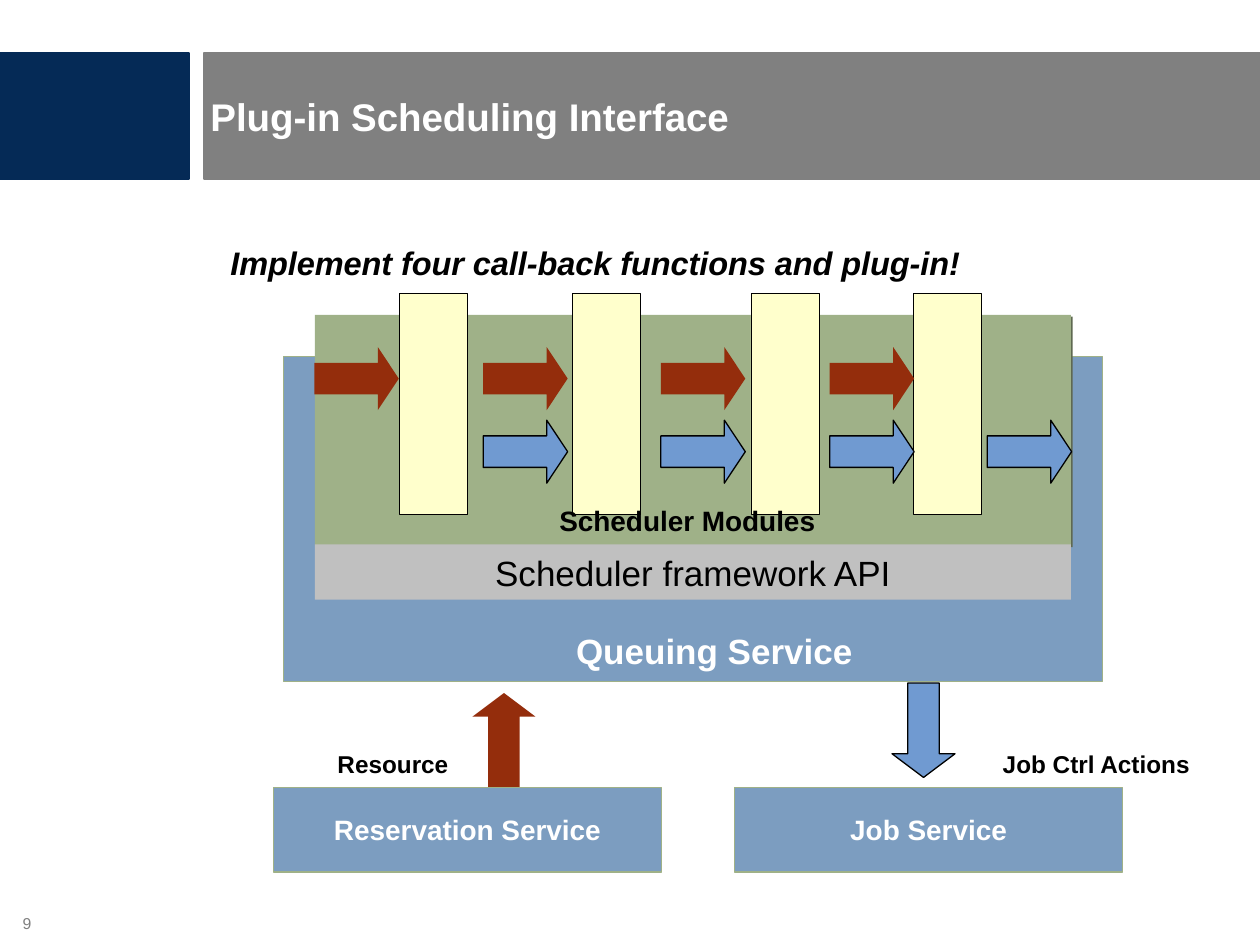
from dataclasses import dataclass
from typing import Optional

from lxml import etree
from pptx import Presentation
from pptx import util as u
from pptx.dml import color
from pptx.enum import shapes, text
from pptx.oxml import ns

RGB = color.RGBColor
NAVY = RGB(0x05, 0x2A, 0x56)
GRAY = RGB(0x80, 0x80, 0x80)
SILVER = RGB(0xC0, 0xC0, 0xC0)
STEEL = RGB(0x7C, 0x9D, 0xC0)
SAGE = RGB(0x9F, 0xB1, 0x88)
CREAM = RGB(0xFF, 0xFF, 0xCC)
RUST = RGB(0x94, 0x2D, 0x0C)
BLUE = RGB(0x70, 0x9A, 0xD1)
WHITE = RGB(0xFF, 0xFF, 0xFF)
BLACK = RGB(0, 0, 0)

KIND = shapes.MSO_SHAPE
LEFT, MID, RIGHT = text.PP_ALIGN.LEFT, text.PP_ALIGN.CENTER, text.PP_ALIGN.RIGHT
TIGHT, SIDE, WIDE = (0, 0), (0.05, 0), (0.1, 0.05)


@dataclass
class Box:
    x: float
    y: float
    w: float
    h: float


@dataclass
class Label:
    words: str
    size: float
    tint: RGB = BLACK
    bold: bool = True
    slant: bool = False
    align: int = MID
    inset: tuple = TIGHT
    sunk: bool = False


def place(item, box: Box) -> None:
    item.left, item.top = u.Inches(box.x), u.Inches(box.y)
    item.width, item.height = u.Inches(box.w), u.Inches(box.h)


def paint(item, fill: RGB, line: Optional[RGB] = None, width: float = 1) -> None:
    item.fill.solid()
    item.fill.fore_color.rgb = fill
    if line is None:
        item.line.fill.background()
    else:
        item.line.color.rgb = line
        item.line.width = u.Pt(width)


def write(item, label: Label) -> None:
    frame = item.text_frame
    side, edge = (u.Inches(gap) for gap in label.inset)
    frame.margin_left = frame.margin_right = side
    frame.margin_top = frame.margin_bottom = edge
    frame.text = label.words
    para = frame.paragraphs[0]
    para.alignment = label.align
    run = para.runs[0]
    font = run.font
    font.name, font.size = "Arial", u.Pt(label.size)
    font.bold, font.italic = label.bold, label.slant
    font.color.rgb = label.tint
    if label.sunk:
        run._r.get_or_add_rPr().set("baseline", "-25000")


def add_block(slide, box: Box, fill: RGB, line: Optional[RGB] = None,
              width: float = 1, label: Optional[Label] = None, kind=KIND.RECTANGLE):
    item = slide.shapes.add_shape(kind, 0, 0, 0, 0)
    place(item, box)
    paint(item, fill, line, width)
    item.shadow.inherit = False
    if label:
        write(item, label)
        item.text_frame.vertical_anchor = text.MSO_ANCHOR.MIDDLE
    return item


def add_text(slide, box: Box, label: Label, wrap: bool = False, grow: bool = True) -> None:
    item = slide.shapes.add_textbox(0, 0, 0, 0)
    place(item, box)
    write(item, label)
    item.text_frame.word_wrap = wrap
    item.text_frame.auto_size = (
        text.MSO_AUTO_SIZE.SHAPE_TO_FIT_TEXT if grow else text.MSO_AUTO_SIZE.NONE)


def add_arrow(slide, box: Box, fill: RGB, head: float, turn: float = 0,
              kind=KIND.UP_ARROW) -> None:
    line = BLACK if fill == BLUE else None
    item = add_block(slide, box, fill, line, 0.75, kind=kind)
    item.adjustments[0], item.adjustments[1] = 0.5, head
    item.rotation = turn


def cast(item) -> None:
    effects = item._element.spPr.find(ns.qn("a:effectLst"))
    shade = etree.SubElement(effects, ns.qn("a:outerShdw"),
                             dist=str(u.Pt(1.4)), dir="2700000", algn="ctr")
    etree.SubElement(shade, ns.qn("a:srgbClr"), val="5F6951")


def main() -> None:
    deck = Presentation()
    deck.slide_width, deck.slide_height = u.Inches(10), u.Inches(7.5)
    slide = deck.slides.add_slide(deck.slide_layouts[5])

    title = slide.shapes.title
    place(title, Box(1.62, 0.42, 8.38, 1))
    paint(title, GRAY, GRAY)
    write(title, Label("Plug-in Scheduling Interface", 22, WHITE, align=LEFT, inset=SIDE))
    title.text_frame.vertical_anchor = text.MSO_ANCHOR.MIDDLE
    add_block(slide, Box(0, 0.42, 1.5, 1), NAVY, NAVY)

    add_block(slide, Box(2.25, 2.83, 6.5, 2.58), STEEL, SAGE)
    add_text(slide, Box(4.57, 5, 2.2, 0.33), Label("Queuing Service", 20, WHITE))
    add_arrow(slide, Box(3.75, 5.5, 0.5, 0.75), RUST, 0.375)
    add_arrow(slide, Box(7.08, 5.42, 0.5, 0.75), BLUE, 0.375, kind=KIND.DOWN_ARROW)

    cast(add_block(slide, Box(2.5, 2.5, 6, 1.83), SAGE))
    for x in (3.17, 4.54, 5.96, 7.25):
        add_block(slide, Box(x, 2.33, 0.54, 1.75), CREAM, BLACK, 0.37)
    add_text(slide, Box(4.33, 4, 2.25, 0.27), Label("Scheduler Modules", 16), wrap=True)

    stops = (2.58, 3.92, 5.33, 6.67, 7.92)
    for y, fill, row in ((2.67, RUST, stops[:-1]), (3.25, BLUE, stops[1:])):
        for x in row:
            add_arrow(slide, Box(x, y, 0.5, 0.67), fill, 0.333, 90)

    add_block(slide, Box(2.5, 4.32, 6, 0.44), SILVER,
              label=Label("Scheduler framework API", 20, bold=False, inset=WIDE))
    for x, name in ((2.17, "Reservation Service"), (5.83, "Job Service")):
        add_block(slide, Box(x, 6.25, 3.08, 0.67), STEEL, SAGE,
                  label=Label(name, 16, WHITE, inset=SIDE))

    for x, w, name in ((2.58, 1.08, "Resource"), (7.86, 1.69, "Job Ctrl Actions")):
        add_text(slide, Box(x, 5.67, w, 0.56),
                 Label(name, 24, align=LEFT, inset=WIDE, sunk=True))
    add_text(slide, Box(1.73, 1.58, 5.99, 0.71),
             Label("Implement four call-back functions and plug-in!", 32,
                   slant=True, align=LEFT, inset=WIDE, sunk=True))
    add_text(slide, Box(0, 7.25, 0.25, 0.25),
             Label("9", 9, GRAY, bold=False, align=RIGHT), wrap=True, grow=False)

    deck.save("out.pptx")


if __name__ == "__main__":
    main()
